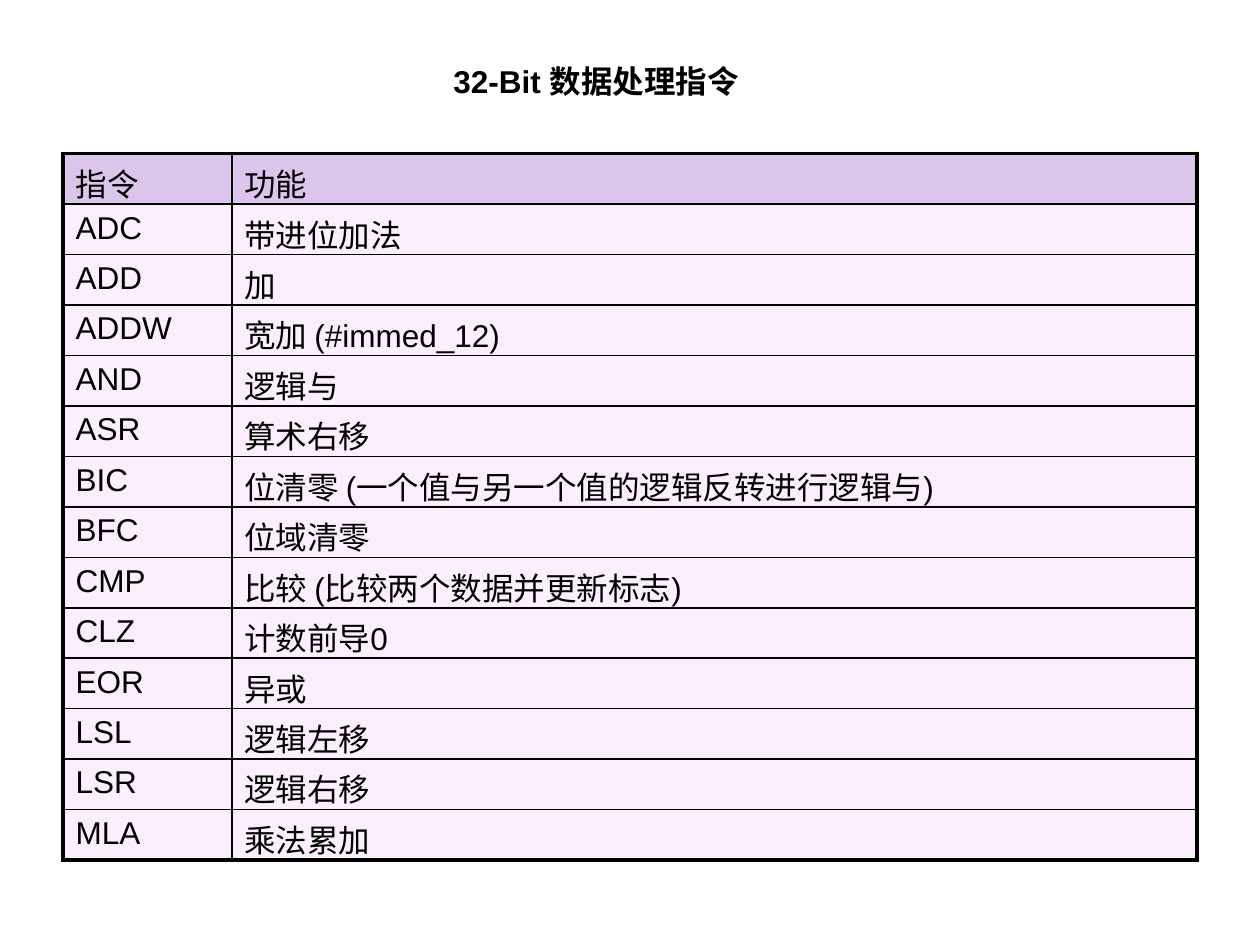
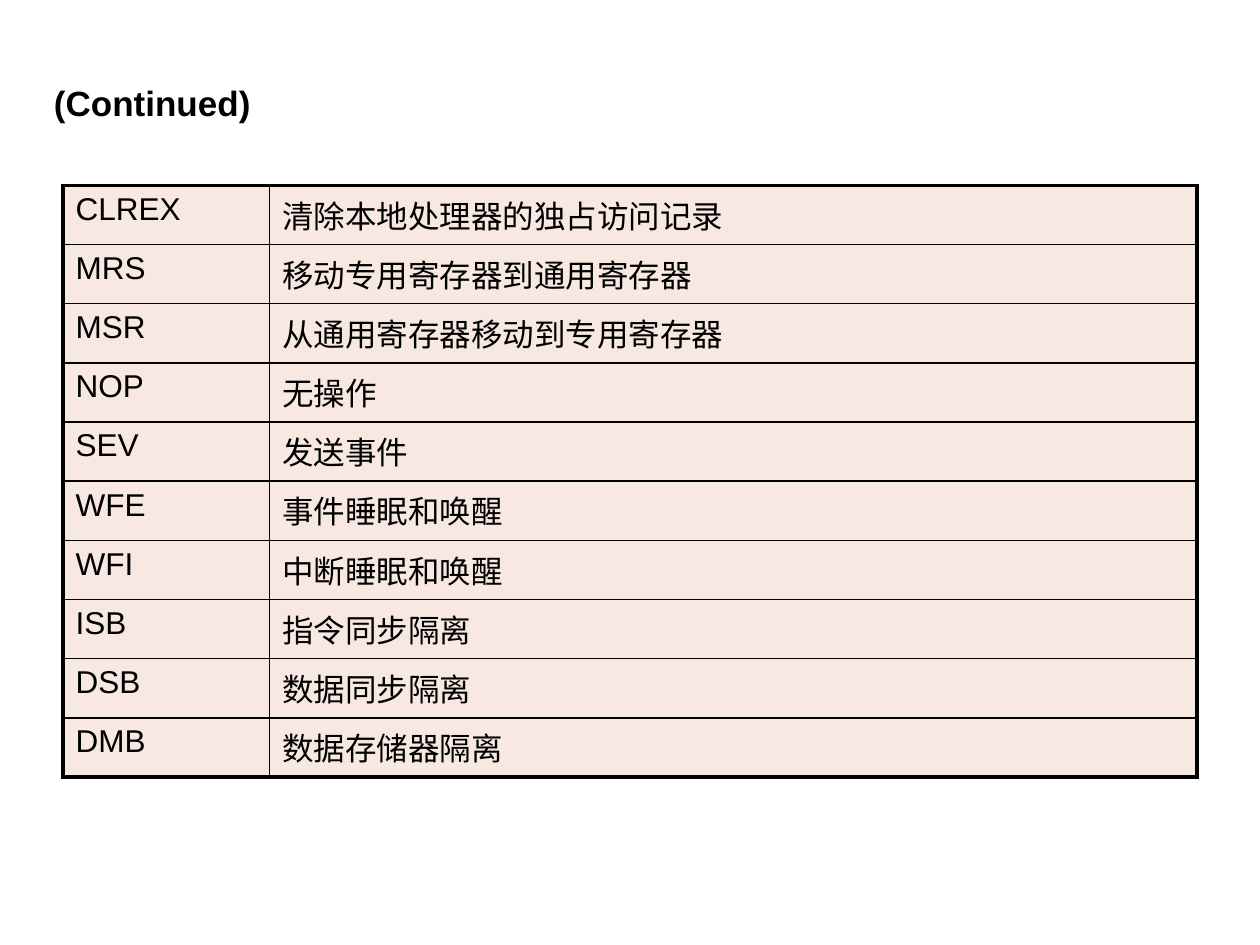
from lxml import etree
from pptx import Presentation
from pptx.dml.color import RGBColor
from pptx.oxml.ns import qn
from pptx.util import Emu, Pt

PX = 9144
FONT = "Arial"
COLORS = {"ink": "000000", "head": "BB8CD8", "lilac": "FBE0FC", "peach": "F1D5C5"}
OPS = [
    ("指令", "功能"),
    ("ADC", "带进位加法"),
    ("ADD", "加"),
    ("ADDW", "宽加 (#immed_12)"),
    ("AND", "逻辑与"),
    ("ASR", "算术右移"),
    ("BIC", "位清零 (一个值与另一个值的逻辑反转进行逻辑与)"),
    ("BFC", "位域清零"),
    ("CMP", "比较 (比较两个数据并更新标志)"),
    ("CLZ", "计数前导0"),
    ("EOR", "异或"),
    ("LSL", "逻辑左移"),
    ("LSR", "逻辑右移"),
    ("MLA", "乘法累加"),
]
MORE = [
    ("CLREX", "清除本地处理器的独占访问记录"),
    ("MRS", "移动专用寄存器到通用寄存器"),
    ("MSR", "从通用寄存器移动到专用寄存器"),
    ("NOP", "无操作"),
    ("SEV", "发送事件"),
    ("WFE", "事件睡眠和唤醒"),
    ("WFI", "中断睡眠和唤醒"),
    ("ISB", "指令同步隔离"),
    ("DSB", "数据同步隔离"),
    ("DMB", "数据存储器隔离"),
]


def px(n):
    return Emu(n * PX)


class Deck:
    def __init__(self):
        self.prs = Presentation()
        self.prs.slide_width, self.prs.slide_height = px(1000), px(750)

    def page(self):
        self.slide = self.prs.slides.add_slide(self.prs.slide_layouts[6])

    def label(self, frame, words, size=18, bold=False):
        para = frame.paragraphs[0]
        para.text = words
        font = para.font
        font.name, font.size, font.bold = FONT, Pt(size), bold
        font.color.rgb = RGBColor.from_string(COLORS["ink"])

    def title(self, words, x, y, w, h, size):
        frame = self.slide.shapes.add_textbox(px(x), px(y), px(w), px(h)).text_frame
        frame.word_wrap = True
        self.label(frame, words, size, True)

    def border(self, cell, tag, width):
        props = cell._tc.get_or_add_tcPr()
        line = etree.SubElement(props, qn("a:" + tag), w=str(Pt(width)))
        fill = etree.SubElement(line, qn("a:solidFill"))
        etree.SubElement(fill, qn("a:srgbClr"), val=COLORS["ink"])

    def tint(self, cell, color):
        cell.fill.solid()
        cell.fill.fore_color.rgb = RGBColor.from_string(COLORS[color])
        fill = cell._tc.get_or_add_tcPr().find(qn("a:solidFill"))
        etree.SubElement(fill.find(qn("a:srgbClr")), qn("a:alpha"), val="50000")

    def table(self, data, y, cols, high, color, head=None):
        rows = len(data)
        grid = self.slide.shapes.add_table(
            rows, len(cols), px(50), px(y), px(sum(cols)), px(high * rows)).table
        grid.first_row = grid.horz_banding = False
        for col, wide in zip(grid.columns, cols):
            col.width = px(wide)
        for r, line in enumerate(data):
            grid.rows[r].height = px(high)
            for c, words in enumerate(line):
                cell = grid.cell(r, c)
                self.label(cell.text_frame, words)
                edges = {"lnL": c == 0, "lnR": c == len(cols) - 1,
                         "lnT": r == 0, "lnB": r == rows - 1}
                for tag, outer in edges.items():
                    self.border(cell, tag, 2.25 if outer else 1)
                self.tint(cell, head if head and r == 0 else color)


def main():
    deck = Deck()
    deck.page()
    deck.title("32-Bit 数据处理指令", 350, 44, 250, 40, 18)
    deck.table(OPS, 122, (134, 766), 40, "lilac", "head")
    deck.page()
    deck.title("(Continued)", 33, 60, 178, 44, 20)
    deck.table(MORE, 147, (164, 736), 47, "peach")
    deck.prs.save("out.pptx")


if __name__ == "__main__":
    main()
